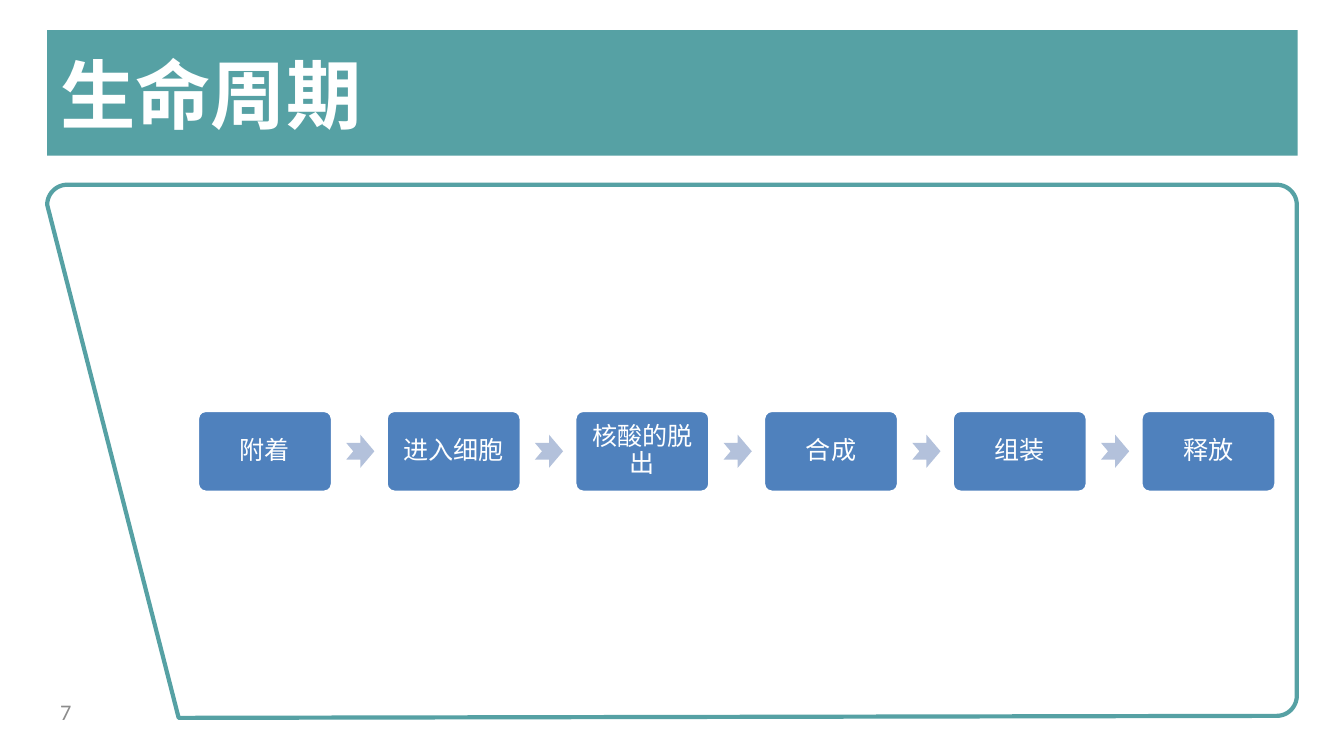
from dataclasses import dataclass
from math import cos, radians, sin

from lxml.etree import SubElement
from pptx import Presentation
from pptx.dml.color import RGBColor
from pptx.enum.shapes import MSO_SHAPE as SHAPE
from pptx.enum.text import MSO_ANCHOR as ANCHOR, PP_ALIGN as ALIGN
from pptx.oxml.ns import qn
from pptx.util import Inches, Pt


@dataclass(frozen=True)
class Theme:
    teal: str = "56A1A4"
    blue: str = "4F81BD"
    arrow: str = "B3C1DB"
    white: str = "FFFFFF"
    grey: str = "8C8C8C"
    title_font: str = "Noto Sans CJK SC"
    body_font: str = "Calibri"
    title_size: int = 54
    step_size: int = 18
    number_size: int = 16


THEME = Theme()
STEPS = ["附着", "进入细胞", "核酸的脱出", "合成", "组装", "释放"]


def rgb(value):
    return RGBColor.from_string(value)


def add_box(slide, kind, box, fill, line=None):
    """Add a filled preset shape, with an outline only when line is given."""
    s = slide.shapes.add_shape(kind, *map(Inches, box))
    s.shadow.inherit = False
    s.fill.solid()
    s.fill.fore_color.rgb = rgb(fill)
    if line:
        s.line.color.rgb = rgb(line)
        s.line.width = Pt(2)
    else:
        s.line.fill.background()
    return s


def write(s, text, font, size, color, insets, align=ALIGN.LEFT, bold=False, spacing=1.0):
    """Put one paragraph in a shape; insets are (horizontal, vertical) inches."""
    tf = s.text_frame
    h, v = map(Inches, insets)
    frame_format = {
        "word_wrap": True, "vertical_anchor": ANCHOR.MIDDLE,
        "margin_left": h, "margin_right": h, "margin_top": v, "margin_bottom": v,
    }
    for name, value in frame_format.items():
        setattr(tf, name, value)
    p = tf.paragraphs[0]
    p.alignment, p.line_spacing = align, spacing
    r = p.add_run()
    r.text = text
    for name, value in {"name": font, "size": Pt(size), "bold": bold}.items():
        setattr(r.font, name, value)
    r.font.color.rgb = rgb(color)
    if font == THEME.title_font:
        SubElement(r.font._element, qn("a:ea"), typeface=font)


def arc(cx, cy, radius, start):
    """Points of a quarter circle, running anticlockwise on the slide."""
    angles = [radians(start + step) for step in range(0, 91, 6)]
    return [(cx + radius * cos(a), cy - radius * sin(a)) for a in angles]


def add_frame(slide, box, radius=0.2, slant=1.31):
    """Outline with three round corners and a slanted left side."""
    x, y, w, h = box
    right, bottom = x + w, y + h
    points = [
        *arc(right - radius, y + radius, radius, 0),
        *arc(x + radius, y + radius, radius, 90),
        (x + slant, bottom),
        *arc(right - radius, bottom - 0.02 - radius, radius, 270),
    ]
    points = [(Inches(px), Inches(py)) for px, py in points]
    builder = slide.shapes.build_freeform(*points[0])
    builder.add_line_segments(points[1:], close=True)
    s = builder.convert_to_shape()
    s.shadow.inherit = False
    s.fill.background()
    s.line.color.rgb = rgb(THEME.teal)
    s.line.width = Pt(3)


def add_title(slide, box, text):
    s = add_box(slide, SHAPE.RECTANGLE, box, THEME.teal)
    write(s, text, THEME.title_font, THEME.title_size, THEME.white, (0.13, 0.07), bold=True)


def add_process(slide, box, steps):
    """Row of equal step boxes with an arrow centred in each gap."""
    x, y, w, h = box
    step_w, arrow_w, arrow_h = 1.34, 0.28, 0.33
    pitch = (w - step_w) / (len(steps) - 1)
    arrow_dx = (pitch + step_w - arrow_w) / 2 + 0.01
    for i, text in enumerate(steps):
        left = x + i * pitch
        s = add_box(slide, SHAPE.ROUNDED_RECTANGLE, (left, y, step_w, h), THEME.blue, THEME.white)
        s.adjustments[0] = 0.1
        write(s, text, THEME.body_font, THEME.step_size, THEME.white, (0.09, 0.09),
              ALIGN.CENTER, spacing=0.9)
        if i < len(steps) - 1:
            arrow_box = (left + arrow_dx, y + (h - arrow_h) / 2, arrow_w, arrow_h)
            add_box(slide, SHAPE.NOTCHED_RIGHT_ARROW, arrow_box, THEME.arrow)


def add_page_number(slide, box, number):
    s = slide.shapes.add_textbox(*map(Inches, box))
    write(s, str(number), THEME.body_font, THEME.number_size, THEME.grey, (0.13, 0.07))


def main():
    prs = Presentation()
    prs.slide_width, prs.slide_height = Inches(13.39), Inches(7.48)
    slide = prs.slides.add_slide(prs.slide_layouts[6])
    add_frame(slide, (0.47, 1.84, 12.45, 5.31))
    add_title(slide, (0.47, 0.3, 12.46, 1.25), "生命周期")
    add_process(slide, (1.97, 4.09, 10.74, 0.81), STEPS)
    add_page_number(slide, (0.47, 6.89, 3.12, 0.4), 7)
    prs.save("out.pptx")


if __name__ == "__main__":
    main()
